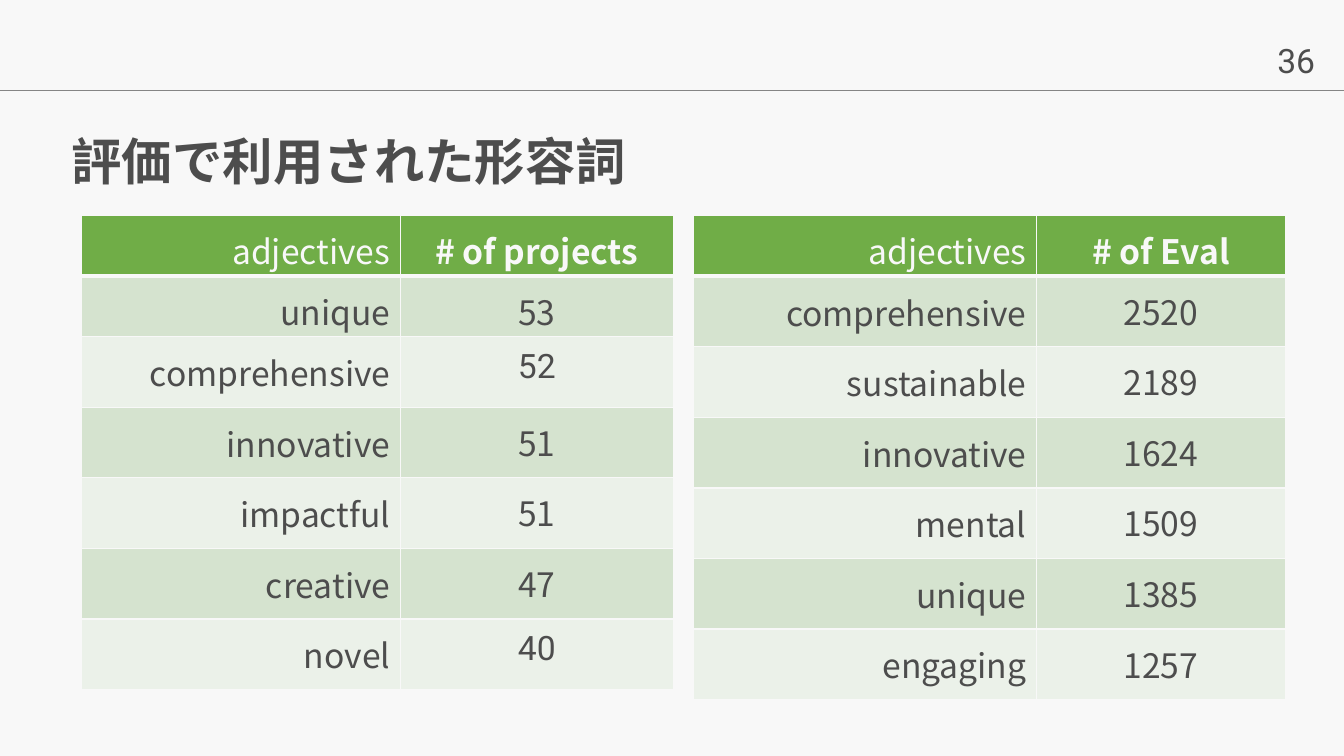
"""Build the slide that ranks the adjectives used in evaluations."""
from dataclasses import dataclass

from pptx import Presentation
from pptx import util as u
from pptx.dml import color
from pptx.enum import shapes, text
from pptx.oxml import ns, xmlchemy

NOTO, ROBOTO = "Noto Sans CJK JP", "Roboto"
INK, PAPER, RULE = "4D4D4D", "F8F8F8", "858585"
HEADER, BANDS = "70AD47", ("D5E3CF", "EBF1E9")
ROW_HEIGHT = 0.7


@dataclass(frozen=True)
class Ranking:
    left: float
    columns: tuple[float, float]
    first_heights: tuple[float, ...]
    count_label: str
    counts: dict[str, int]
    roboto_counts: tuple[int, ...] = ()


RANKINGS = (
    Ranking(0.81, (3.16, 2.71), (0.43, 0.43), "# of projects",
            {"unique": 53, "comprehensive": 52, "innovative": 51,
             "impactful": 51, "creative": 47, "novel": 40}, (52, 40)),
    Ranking(6.88, (3.4, 2.47), (0.39,), "# of Eval",
            {"comprehensive": 2520, "sustainable": 2189, "innovative": 1624,
             "mental": 1509, "unique": 1385, "engaging": 1257}),
)


def paint(fill, hex_color: str) -> None:
    """Give a fill one solid colour."""
    fill.solid()
    fill.fore_color.rgb = color.RGBColor.from_string(hex_color)


def add_run(paragraph, words: str, size: float = 24, face: str = NOTO,
            hex_color: str = INK, bold: bool = False) -> None:
    """Add a formatted run to a paragraph."""
    run = paragraph.add_run()
    run.text = words
    run.font.size, run.font.name, run.font.bold = u.Pt(size), face, bold
    paint(run.font.fill, hex_color)
    east_asian = xmlchemy.OxmlElement("a:ea")
    east_asian.set("typeface", face)
    run.font._element.append(east_asian)


def add_borders(cell, bottom: float) -> None:
    """Draw paper-coloured borders with the given bottom width in points."""
    properties = cell._tc.get_or_add_tcPr()
    for side, width in (("L", 1), ("R", 1), ("T", 1), ("B", bottom)):
        border = xmlchemy.OxmlElement(f"a:ln{side}")
        border.set("w", str(u.Pt(width)))
        solid = xmlchemy.OxmlElement("a:solidFill")
        tone = xmlchemy.OxmlElement("a:srgbClr")
        tone.set("val", PAPER)
        solid.append(tone)
        border.append(solid)
        properties.append(border)


def fill_cell(cell, words: str, row: int, is_count: bool, face: str) -> None:
    """Write and format one cell of a ranking."""
    is_header = row == 0
    add_borders(cell, 3 if is_header else 1)
    paint(cell.fill, HEADER if is_header else BANDS[(row - 1) % 2])
    cell.margin_left = cell.margin_right = u.Inches(0.1)
    cell.margin_top = cell.margin_bottom = u.Inches(0.1)
    cell.vertical_anchor = (text.MSO_ANCHOR.TOP if is_count
                            else text.MSO_ANCHOR.MIDDLE)
    paragraph = cell.text_frame.paragraphs[0]
    paragraph.alignment = text.PP_ALIGN.CENTER if is_count else text.PP_ALIGN.RIGHT
    add_run(paragraph, words, face=face, hex_color=PAPER if is_header else INK,
            bold=is_header and is_count)


def add_ranking(slide, ranking: Ranking) -> None:
    """Add one table of adjectives and counts."""
    rows = [("adjectives", ranking.count_label), *ranking.counts.items()]
    plain_rows = len(rows) - len(ranking.first_heights)
    heights = [*ranking.first_heights, *[ROW_HEIGHT] * plain_rows]
    table = slide.shapes.add_table(
        len(rows), 2, u.Inches(ranking.left), u.Inches(2.14),
        u.Inches(sum(ranking.columns)), u.Inches(sum(heights))).table
    for column, width in zip(table.columns, ranking.columns):
        column.width = u.Inches(width)
    for row, (entry, height) in enumerate(zip(rows, heights)):
        table.rows[row].height = u.Inches(height)
        for column, value in enumerate(entry):
            face = ROBOTO if value in ranking.roboto_counts else NOTO
            fill_cell(table.cell(row, column), str(value), row, column == 1, face)


def add_page_header(slide) -> None:
    """Add the page number and the rule below it."""
    number = slide.shapes.add_textbox(
        u.Inches(12.57), u.Inches(0.35), u.Inches(0.61), u.Inches(0.5))
    number.text_frame.word_wrap = False
    add_run(number.text_frame.paragraphs[0], "36", face=ROBOTO)
    rule = slide.shapes.add_connector(
        shapes.MSO_CONNECTOR.STRAIGHT,
        0, u.Inches(0.9), u.Inches(13.33), u.Inches(0.9))
    paint(rule.line.fill, RULE)
    rule.line.width = u.Pt(1)
    rule._element.find(ns.qn("p:spPr")).append(xmlchemy.OxmlElement("a:effectLst"))


def add_title(slide, words: str) -> None:
    """Place the heading in the title placeholder."""
    title = slide.shapes.title
    title.left, title.top = u.Inches(0.61), u.Inches(1.11)
    title.width, title.height = u.Inches(12.14), u.Inches(1.03)
    frame = title.text_frame
    frame.auto_size = text.MSO_AUTO_SIZE.NONE
    frame.vertical_anchor = text.MSO_ANCHOR.MIDDLE
    heading = frame.paragraphs[0]
    heading.alignment, heading.line_spacing = text.PP_ALIGN.LEFT, 0.9
    add_run(heading, words, size=36, bold=True)


def main() -> None:
    """Create and save the presentation."""
    deck = Presentation()
    deck.slide_width, deck.slide_height = u.Inches(13.33), u.Inches(7.5)
    slide = deck.slides.add_slide(deck.slide_layouts[5])
    paint(slide.background.fill, PAPER)
    add_page_header(slide)
    add_title(slide, "評価で利用された形容詞")
    for ranking in RANKINGS:
        add_ranking(slide, ranking)
    deck.save("out.pptx")


if __name__ == "__main__":
    main()
